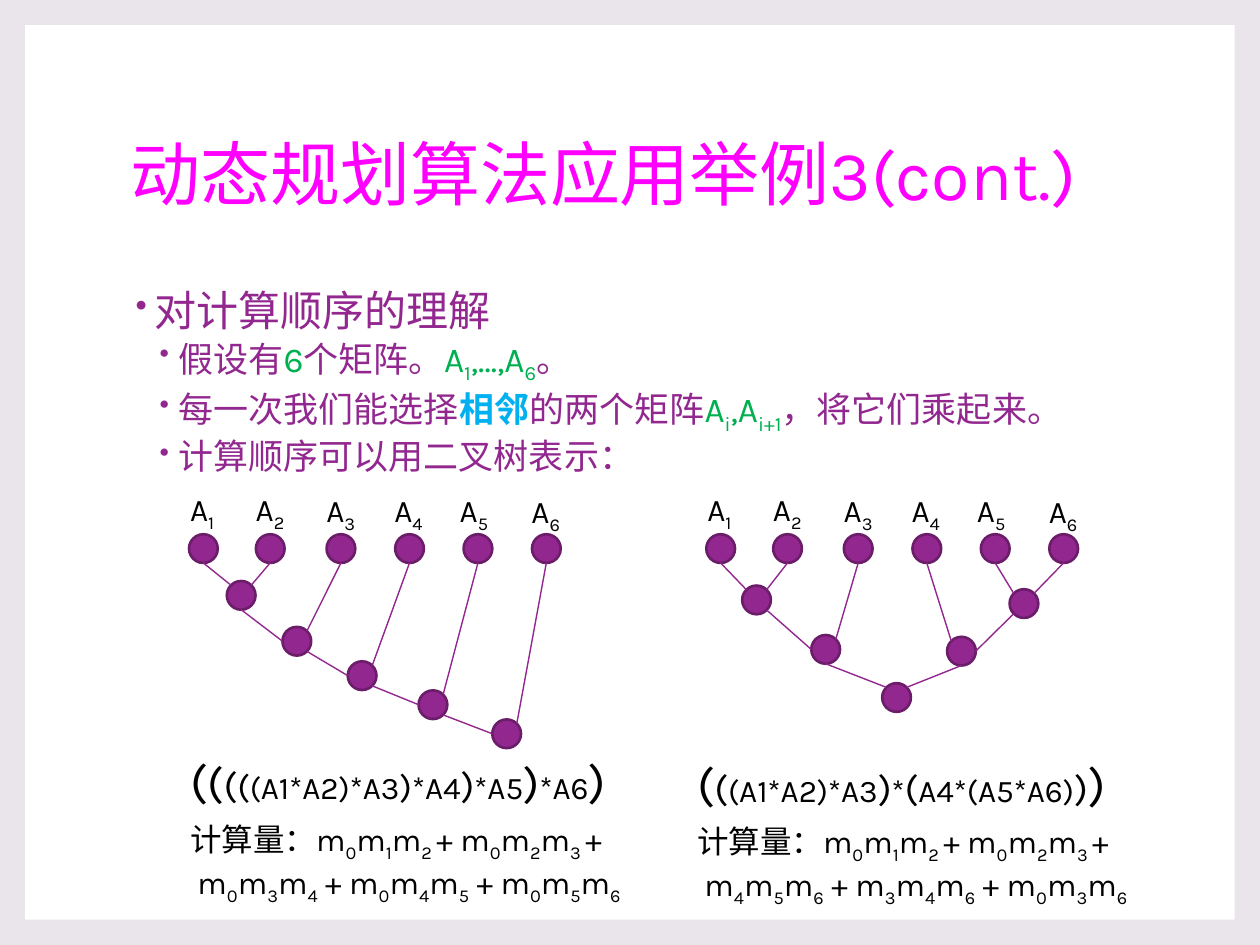
"""Build a slide on matrix-chain evaluation orders shown as two binary trees."""
import pptx
import pptx.util
import pptx.dml.color
import pptx.enum.shapes
import pptx.enum.text
import lxml.etree
from pptx.oxml.ns import qn

Pt = pptx.util.Pt
RGBColor = pptx.dml.color.RGBColor
SHAPE = pptx.enum.shapes.MSO_SHAPE

FONT = "Karla"
BACKDROP = RGBColor(0xEA, 0xE5, 0xEB)
WHITE = RGBColor(0xFF, 0xFF, 0xFF)
BLACK = RGBColor(0, 0, 0)
MAGENTA = RGBColor(0xFF, 0x00, 0xFF)
PURPLE = RGBColor(0x92, 0x27, 0x8F)
DARK_PURPLE = RGBColor(0x6C, 0x1D, 0x6A)
GREEN = RGBColor(0x00, 0xB0, 0x50)
BLUE = RGBColor(0x00, 0xB0, 0xF0)

TITLE = "动态规划算法应用举例3(cont.)"
# Text between tildes is subscript.
BULLETS = [
    (0, [("对计算顺序的理解", {})]),
    (1, [("假设有", {}), ("6", {"color": GREEN}), ("个矩阵。", {}),
         ("A~1~,…,A~6~", {"color": GREEN}), ("。", {})]),
    (1, [("每一次我们能选择", {}), ("相邻", {"color": BLUE, "bold": True}),
         ("的两个矩阵", {}), ("A~i~,A~i+1~", {"color": GREEN}),
         ("，将它们乘起来。", {})]),
    (1, [("计算顺序可以用二叉树表示：", {})]),
]
LEVELS = [
    {"size": 24, "indent": 13.7, "before": 0, "after": 0},
    {"size": 20, "indent": 27.4, "before": 1.5, "after": 3},
]

NODE = 16.4
LEAF_TOP = 305.3
LEAF_LEFTS = [108, 146.2, 186.6, 225.8, 264.9, 304]
LABELS = [(101.5, 276.5), (139, 276.5), (179.4, 277.2),
          (218.2, 277.2), (255.6, 277.2), (296.6, 277.9)]
TREES = [
    {
        "shift": 0,
        "joints": {"B1": (129.6, 332), "B2": (161.4, 358.2), "B3": (198.7, 377.9),
                   "B4": (239.2, 394.5), "B5": (281.3, 411.1)},
        "edges": [("A1", "S", "B1", "NW"), ("A2", "S", "B1", "NE"),
                  ("A3", "S", "B2", "NE"), ("B1", "S", "B2", "W"),
                  ("B2", "SE", "B3", "W"), ("B3", "SE", "B4", "W"),
                  ("B4", "SE", "B5", "W"), ("A4", "S", "B3", "NE"),
                  ("A5", "S", "B4", "NE"), ("A6", "S", "B5", "NE")],
        "caption": (101.5, 425.5),
        "order": [("(", 28), ("(", 26), ("(", 22), ("(", 20), ("(A1*A2)*A3", 18),
                  (")", 20), ("*A4", 18), (")", 22), ("*A5", 18), (")", 26),
                  ("*A6", 18), (")", 28)],
        "cost": " m~0~m~3~m~4~ + m~0~m~4~m~5~ + m~0~m~5~m~6~",
    },
    {
        "shift": 295.6,
        "joints": {"B1": (424.1, 334.6), "B2": (463.6, 362.9), "B3": (576.9, 336.7),
                   "B4": (541.2, 363.9), "B5": (504.1, 390.4)},
        "edges": [("A1", "S", "B1", "NW"), ("A2", "S", "B1", "NE"),
                  ("A3", "S", "B2", "NE"), ("B1", "SE", "B2", "W"),
                  ("A6", "S", "B3", "NE"), ("A5", "S", "B3", "NW"),
                  ("A4", "S", "B4", "NW"), ("B4", "E", "B3", "SW"),
                  ("B2", "S", "B5", "NW"), ("B5", "NE", "B4", "S")],
        "caption": (391.2, 426.8),
        "order": [("(", 28), ("(", 22), ("(A1*A2)*A3", 18), (")", 22), ("*", 18),
                  ("(", 22), ("A4*(A5*A6)", 18), (")", 22), (")", 28)],
        "cost": " m~4~m~5~m~6~ + m~3~m~4~m~6~ + m~0~m~3~m~6~",
    },
]
COST_START = "计算量：m~0~m~1~m~2 ~+ m~0~m~2~m~3 ~+"
DIAGONAL = 0.71
SITES = {"S": (0, 1), "W": (-1, 0), "E": (1, 0),
         "NW": (-DIAGONAL, -DIAGONAL), "NE": (DIAGONAL, -DIAGONAL),
         "SW": (-DIAGONAL, DIAGONAL), "SE": (DIAGONAL, DIAGONAL)}


def add_box(shapes, left, top, width, height):
    box = shapes.add_textbox(Pt(left), Pt(top), Pt(width), Pt(height))
    box.text_frame.word_wrap = True
    return box.text_frame


def write(para, spans, size, color):
    para.font.name = FONT
    para.font.size = Pt(size)
    para.font.color.rgb = color
    for text, style in spans:
        for index, part in enumerate(text.split("~")):
            if not part:
                continue
            span = para.add_run()
            span.text = part
            if "size" in style:
                span.font.size = Pt(style["size"])
            if "color" in style:
                span.font.color.rgb = style["color"]
            if "bold" in style:
                span.font.bold = style["bold"]
            if index % 2:
                span._r.get_or_add_rPr().set("baseline", "-25000")


def add_bullet(para, indent):
    properties = para._p.get_or_add_pPr()
    properties.set("marL", str(Pt(indent)))
    properties.set("indent", str(-Pt(10.8)))
    color = lxml.etree.SubElement(properties, qn("a:buClr"))
    lxml.etree.SubElement(color, qn("a:srgbClr")).set("val", str(PURPLE))
    lxml.etree.SubElement(properties, qn("a:buSzPct")).set("val", "80000")
    lxml.etree.SubElement(properties, qn("a:buChar")).set("char", "•")


def add_node(shapes, left, top):
    node = shapes.add_shape(SHAPE.OVAL, Pt(left), Pt(top), Pt(NODE), Pt(NODE))
    node.shadow.inherit = False
    node.fill.solid()
    node.fill.fore_color.rgb = PURPLE
    node.line.color.rgb = DARK_PURPLE
    node.line.width = Pt(1.5)


def site_point(corner, site):
    return [Pt(start + NODE / 2 * (1 + step)) for start, step in zip(corner, SITES[site])]


def add_edge(shapes, begin, end):
    edge = shapes.add_connector(pptx.enum.shapes.MSO_CONNECTOR.STRAIGHT, *begin, *end)
    edge.line.color.rgb = PURPLE
    edge.line.width = Pt(0.79)
    lxml.etree.SubElement(edge._element.spPr, qn("a:effectLst"))


def add_tree(page, tree):
    shapes = page.shapes.add_group_shape().shapes
    nodes = {f"A{number}": (left + tree["shift"], LEAF_TOP)
             for number, left in enumerate(LEAF_LEFTS, 1)}
    nodes.update(tree["joints"])
    for corner in nodes.values():
        add_node(shapes, *corner)
    for number, (left, top) in enumerate(LABELS, 1):
        label = add_box(shapes, left + tree["shift"], top, 37.4, 28.8)
        write(label.paragraphs[0], [(f"A~{number}~", {})], 18, BLACK)
    for source, source_site, target, target_site in tree["edges"]:
        add_edge(shapes, site_point(nodes[source], source_site),
                 site_point(nodes[target], target_site))

    caption = add_box(page.shapes, *tree["caption"], 277.2, 90.7)
    order = [(text, {"size": size}) for text, size in tree["order"]]
    write(caption.paragraphs[0], order, 18, BLACK)
    para = caption.add_paragraph()
    para.space_before = Pt(6)
    write(para, [(COST_START, {})], 18, BLACK)
    write(caption.add_paragraph(), [(tree["cost"], {})], 18, BLACK)


def main():
    deck = pptx.Presentation()
    deck.slide_width, deck.slide_height = Pt(720), Pt(540)
    page = deck.slides.add_slide(deck.slide_layouts[6])
    page.background.fill.solid()
    page.background.fill.fore_color.rgb = BACKDROP

    panel = page.shapes.add_shape(SHAPE.RECTANGLE, Pt(14.4), Pt(14.4), Pt(691.2), Pt(511.2))
    panel.shadow.inherit = False
    panel.fill.solid()
    panel.fill.fore_color.rgb = WHITE
    panel.line.fill.background()

    title = add_box(page.shapes, 67.5, 48.2, 583.2, 106.6)
    title.vertical_anchor = pptx.enum.text.MSO_ANCHOR.MIDDLE
    title.paragraphs[0].line_spacing = 0.9
    write(title.paragraphs[0], [(TITLE, {})], 40, MAGENTA)

    body = add_box(page.shapes, 67.5, 162, 583.2, 116.6)
    for index, (depth, spans) in enumerate(BULLETS):
        para = body.add_paragraph() if index else body.paragraphs[0]
        level = LEVELS[depth]
        para.level = depth
        para.line_spacing = 0.9
        para.space_before = Pt(level["before"])
        para.space_after = Pt(level["after"])
        add_bullet(para, level["indent"])
        write(para, spans, level["size"], PURPLE)

    for tree in TREES:
        add_tree(page, tree)
    deck.save("out.pptx")


if __name__ == "__main__":
    main()
